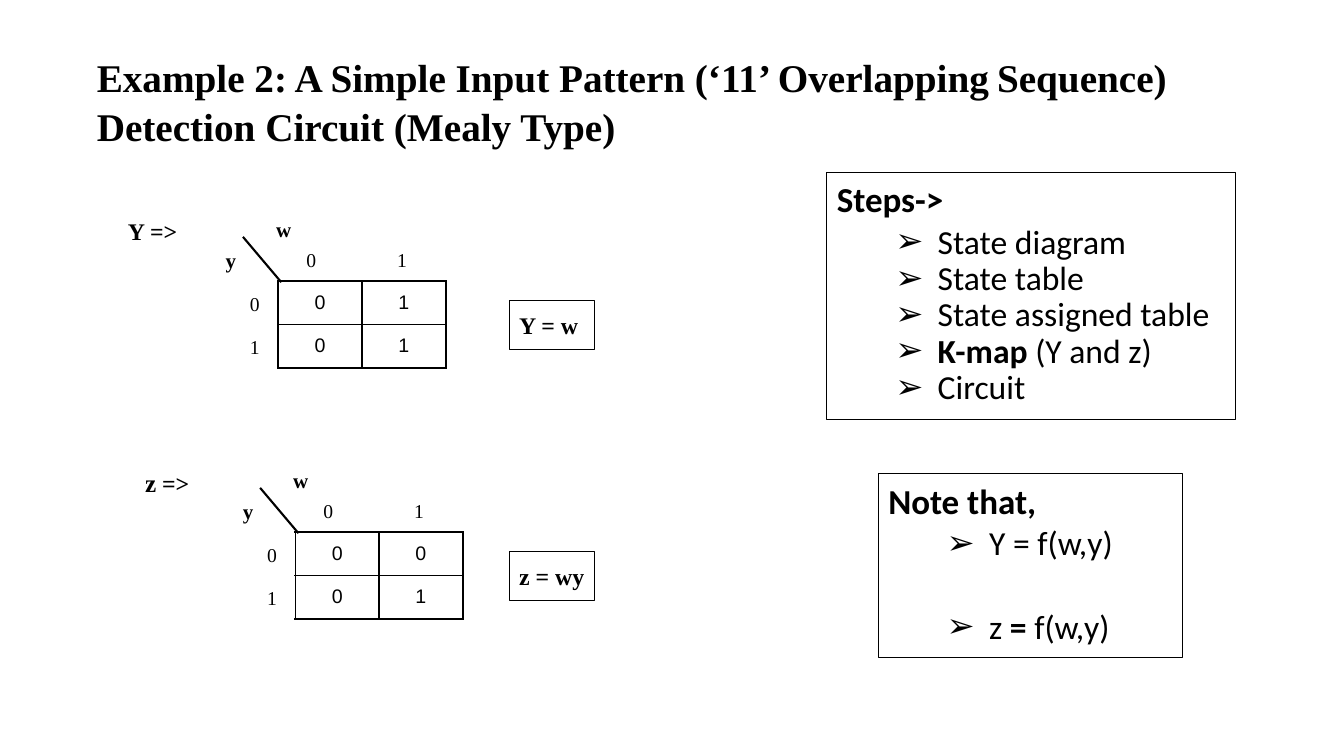
from lxml.etree import SubElement
from pptx import Presentation
from pptx.dml.color import RGBColor
from pptx.enum.shapes import MSO_CONNECTOR, MSO_SHAPE
from pptx.enum.text import MSO_ANCHOR, MSO_AUTO_SIZE, PP_ALIGN
from pptx.oxml.ns import qn
from pptx.util import Pt

BLACK = RGBColor(0x00, 0x00, 0x00)
SERIF, SANS, CELL = "Times New Roman", "Calibri", "Arial"
SCALE = 9144  # EMU in one px, 100 px to the inch


def px(num):
    return num * SCALE


class Page:
    def __init__(self, deck, layout):
        self.slide = deck.slides.add_slide(deck.slide_layouts[layout])

    def place(self, shape, box):
        shape.left, shape.top, shape.width, shape.height = map(px, box)

    def setup(self, frame, left=10, top=10, right=10, low=10):
        frame.word_wrap = True
        frame.auto_size = MSO_AUTO_SIZE.NONE
        frame.vertical_anchor = MSO_ANCHOR.TOP
        frame.margin_left, frame.margin_top = px(left), px(top)
        frame.margin_right, frame.margin_bottom = px(right), px(low)

    def border(self, shape):
        shape.line.color.rgb = BLACK
        shape.line.width = Pt(0.75)

    def add_runs(self, para, runs, face):
        """Add runs given as (text, size, bold)."""
        for text, size, bold in runs:
            run = para.add_run()
            run.text = text
            run.font.name, run.font.size = face, Pt(size)
            run.font.bold = bold
            run.font.color.rgb = BLACK

    def title(self, box, runs):
        shape = self.slide.shapes.title
        self.place(shape, box)
        self.setup(shape.text_frame, 0, 4, 0, 0)
        para = shape.text_frame.paragraphs[0]
        para.alignment = PP_ALIGN.LEFT
        para.line_spacing = 1.04
        self.add_runs(para, runs, SERIF)

    def bullet(self, para, mark):
        props = para._p.get_or_add_pPr()
        props.set("marL", str(px(100 if mark else 0)))
        props.set("indent", str(px(-42 if mark else 0)))
        if not mark:
            SubElement(props, qn("a:buNone"))
            return
        tint = SubElement(props, qn("a:buClr"))
        SubElement(tint, qn("a:srgbClr"), val=str(BLACK))
        SubElement(props, qn("a:buFont"), typeface=CELL)
        SubElement(props, qn("a:buChar"), char=mark)

    def bullets(self, slot, box, head, items):
        """Fill a body placeholder; items are (space before, runs)."""
        shape = self.slide.placeholders[slot]
        self.place(shape, box)
        self.border(shape)
        frame = shape.text_frame
        self.setup(frame)
        rows = [(0, [(head, 25, True)])] + items
        for num, (gap, runs) in enumerate(rows):
            para = frame.add_paragraph() if num else frame.paragraphs[0]
            self.bullet(para, "➢" if num else None)
            para.alignment = PP_ALIGN.LEFT
            para.line_spacing = 0.9
            para.space_before = Pt(gap)
            self.add_runs(para, runs, SANS)

    def label(self, box, runs):
        shape = self.slide.shapes.add_textbox(*map(px, box))
        self.setup(shape.text_frame, right=5)
        self.add_runs(shape.text_frame.paragraphs[0], runs, SERIF)

    def frame(self, box, runs):
        shape = self.slide.shapes.add_shape(MSO_SHAPE.RECTANGLE, *map(px, box))
        shape.shadow.inherit = False
        shape.fill.background()
        self.border(shape)
        self.setup(shape.text_frame, right=5)
        para = shape.text_frame.paragraphs[0]
        para.alignment = PP_ALIGN.LEFT
        self.add_runs(para, runs, SERIF)

    def line(self, *ends):
        wire = self.slide.shapes.add_connector(
            MSO_CONNECTOR.STRAIGHT, *map(px, ends))
        wire.line.color.rgb = BLACK
        wire.line.width = Pt(1.5)
        SubElement(wire._element.spPr, qn("a:effectLst"))

    def edges(self, cell):
        props = cell._tc.get_or_add_tcPr()
        for spot, side in enumerate(("lnL", "lnR", "lnT", "lnB")):
            edge = props.makeelement(qn("a:" + side), {"w": str(Pt(1.5))})
            fill = SubElement(edge, qn("a:solidFill"))
            SubElement(fill, qn("a:srgbClr"), val=str(BLACK))
            props.insert(spot, edge)

    def grid(self, x, y, wide, high, rows):
        count, span = len(rows), len(rows[0])
        table = self.slide.shapes.add_table(
            count, span, px(x), px(y), px(wide * span), px(high * count)).table
        table.first_row = table.horz_banding = False
        for r, row in enumerate(rows):
            table.rows[r].height = px(high)
            for c, text in enumerate(row):
                table.columns[c].width = px(wide)
                cell = table.cell(r, c)
                cell.fill.background()
                cell.margin_left = cell.margin_right = px(10)
                cell.margin_top = cell.margin_bottom = px(10)
                para = cell.text_frame.paragraphs[0]
                para.alignment = PP_ALIGN.CENTER
                self.add_runs(para, [(text, 14, False)], CELL)
                self.edges(cell)

    def kmap(self, x, y, name, rows, result):
        """Draw a K-map whose grid has its top left corner at x, y."""
        self.grid(x, y, 83, 43, rows)
        self.line(x - 35, y - 44, x + 3, y + 1)
        # Variables on both sides of the slanted line
        self.label((x - 62, y - 43, 38, 45), [("y", 15, True)])
        self.label((x - 12, y - 74, 38, 45), [("w", 15, True)])
        # Column and row values
        for num in range(2):
            runs = [(str(num), 14, False)]
            self.label((x + 18 + 90 * num, y - 43, 38, 44), runs)
            self.label((x - 38, y + 1 + 42 * num, 38, 44), runs)
        # Function name and its result
        self.label((x - 159, y - 74, 85, 49), name)
        self.frame((505, y + 19, 85, 49), [(result, 17, True)])


def main():
    deck = Presentation()
    deck.slide_width, deck.slide_height = px(1333), px(750)
    page = Page(deck, 3)

    # Title
    page.title((96, 47, 1160, 96), [
        ("Example 2: A Simple Input Pattern (‘11’ Overlapping", 28, True),
        (" ", 23, True),
        ("Sequence) Detection Circuit (Mealy Type)", 28, True)])

    # Design steps
    page.bullets(1, (820, 171, 405, 245), "Steps->", [
        (3.6, [("State diagram", 24, False)]),
        (0, [("State table", 24, False)]),
        (0, [("State assigned table", 24, False)]),
        (0, [("K-map", 24, True), (" (Y and z)", 24, False)]),
        (0, [("Circuit", 24, False)])])

    # Note on the two functions
    page.bullets(2, (871, 470, 302, 182), "Note that,", [
        (3.6, [("Y = f(w,y)", 24, False)]),
        (33.6, [("z", 24, False), (" = ", 24, True), ("f(w,y)", 24, False)])])

    # K-maps
    page.kmap(276, 279, [("Y =>", 17, True)], ["01", "01"], "Y = w")
    page.kmap(293, 528, [("z", 18, True), (" =>", 17, True)],
              ["00", "01"], "z = wy")

    deck.save("out.pptx")


if __name__ == "__main__":
    main()
